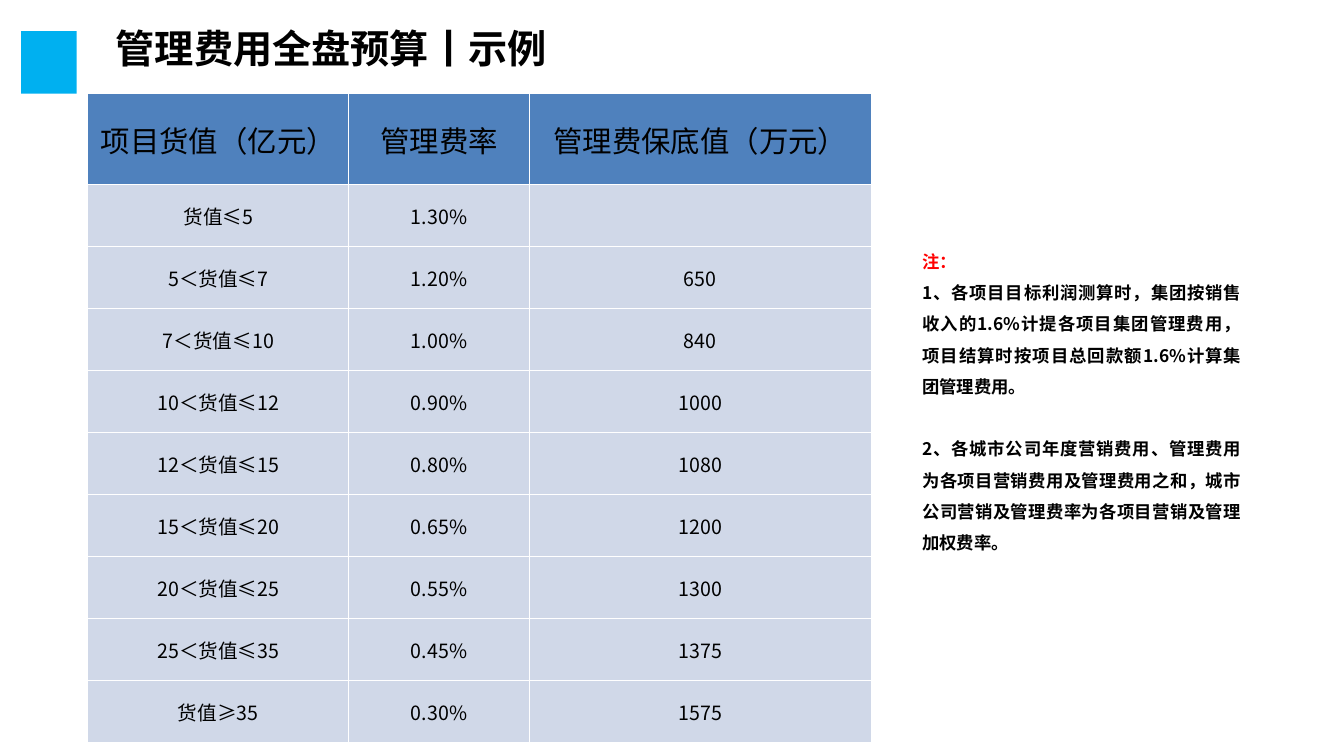
from lxml.etree import SubElement
from pptx import Presentation
from pptx.dml.color import RGBColor
from pptx.enum.shapes import MSO_SHAPE as Preset
from pptx.enum.text import MSO_ANCHOR as Anchor, MSO_AUTO_SIZE as AutoSize, PP_ALIGN as Align
from pptx.oxml.ns import qn
from pptx.util import Inches, Pt

COLORS = {"accent": "00B0F0", "header": "4F81BD", "body": "D0D8E8",
          "border": "FFFFFF", "text": "000000", "note": "FF0000"}
FONT = "Noto Sans CJK SC"

FEE_ROWS = [
    ("项目货值（亿元）", "管理费率", "管理费保底值（万元）"),
    ("货值≤5", "1.30%", ""),
    ("5＜货值≤7", "1.20%", "650"),
    ("7＜货值≤10", "1.00%", "840"),
    ("10＜货值≤12", "0.90%", "1000"),
    ("12＜货值≤15", "0.80%", "1080"),
    ("15＜货值≤20", "0.65%", "1200"),
    ("20＜货值≤25", "0.55%", "1300"),
    ("25＜货值≤35", "0.45%", "1375"),
    ("货值≥35", "0.30%", "1575"),
]
NOTES = [
    ("注：", "note", 0),
    ("1、各项目目标利润测算时，集团按销售收入的1.6%计提各项目集团管理费用，"
     "项目结算时按项目总回款额1.6%计算集团管理费用。", "text", 0),
    ("2、各城市公司年度营销费用、管理费用为各项目营销费用及管理费用之和，"
     "城市公司营销及管理费率为各项目营销及管理加权费率。", "text", 22.4),
]


class SlideBuilder:
    """Draws styled elements on one slide, with lengths in percent of its size."""

    def __init__(self, presentation):
        self.width = presentation.slide_width
        self.height = presentation.slide_height
        self.slide = presentation.slides.add_slide(presentation.slide_layouts[6])

    def across(self, share):
        return round(self.width * share / 100)

    def down(self, share):
        return round(self.height * share / 100)

    def area(self, left, top, width, height):
        return self.across(left), self.down(top), self.across(width), self.down(height)

    def set_text(self, paragraph, text, size, color="text", bold=False,
                 align=Align.LEFT, spacing=None, before=0):
        paragraph.text = text
        paragraph.alignment = align
        if spacing:
            paragraph.line_spacing = spacing
        if before:
            paragraph.space_before = Pt(before)
        font = paragraph.font
        font.size, font.bold, font.name = Pt(size), bold, FONT
        font.color.rgb = RGBColor.from_string(COLORS[color])
        SubElement(paragraph._p.pPr.find(qn("a:defRPr")), qn("a:ea"), typeface=FONT)

    def block(self, area, color):
        shape = self.slide.shapes.add_shape(Preset.RECTANGLE, *self.area(*area))
        shape.shadow.inherit = False
        shape.fill.solid()
        shape.fill.fore_color.rgb = RGBColor.from_string(COLORS[color])
        shape.line.fill.background()

    def text_box(self, area, anchor=Anchor.TOP, auto_size=AutoSize.NONE):
        frame = self.slide.shapes.add_textbox(*self.area(*area)).text_frame
        frame.word_wrap = True
        frame.auto_size = auto_size
        frame.vertical_anchor = anchor
        return frame

    def title(self, area, text):
        frame = self.text_box(area, Anchor.MIDDLE)
        self.set_text(frame.paragraphs[0], text, 28, bold=True, spacing=0.9)

    def notes(self, area, notes):
        frame = self.text_box(area, auto_size=AutoSize.SHAPE_TO_FIT_TEXT)
        for index, (text, color, before) in enumerate(notes):
            paragraph = frame.add_paragraph() if index else frame.paragraphs[0]
            self.set_text(paragraph, text, 12.4, color, True, Align.JUSTIFY, 1.5, before)

    def cell(self, cell, text, size, color):
        cell.margin_left = cell.margin_right = cell.margin_top = Inches(0.01)
        cell.margin_bottom = 0
        cell.vertical_anchor = Anchor.MIDDLE
        properties = cell._tc.get_or_add_tcPr()
        for side in ("lnL", "lnR", "lnT", "lnB"):
            line = SubElement(properties, qn(f"a:{side}"), w=str(Pt(1)))
            fill = SubElement(line, qn("a:solidFill"))
            SubElement(fill, qn("a:srgbClr"), val=COLORS["border"])
        cell.fill.solid()
        cell.fill.fore_color.rgb = RGBColor.from_string(COLORS[color])
        self.set_text(cell.text_frame.paragraphs[0], text, size, align=Align.CENTER)

    def table(self, left, top, columns, header_height, row_height, rows):
        heights = [header_height] + [row_height] * (len(rows) - 1)
        area = self.area(left, top, sum(columns), sum(heights))
        table = self.slide.shapes.add_table(len(rows), len(columns), *area).table
        for column, width in zip(table.columns, columns):
            column.width = self.across(width)
        for index, (row, height, texts) in enumerate(zip(table.rows, heights, rows)):
            row.height = self.down(height)
            size, color = (14, "body") if index else (21, "header")
            for cell, text in zip(row.cells, texts):
                self.cell(cell, text, size, color)


def main():
    presentation = Presentation()
    presentation.slide_width = Inches(13.33)
    presentation.slide_height = Inches(7.5)
    builder = SlideBuilder(presentation)
    builder.block((1.58, 4.13, 4.13, 8.27), "accent")
    builder.title((7.88, 2.67, 41.64, 8.13), "管理费用全盘预算丨示例")
    builder.table(6.53, 12.4, (19.43, 13.43, 25.43), 12, 8.2, FEE_ROWS)
    builder.notes((67.89, 31.2, 25.21, 43.2), NOTES)
    presentation.save("out.pptx")


if __name__ == "__main__":
    main()
